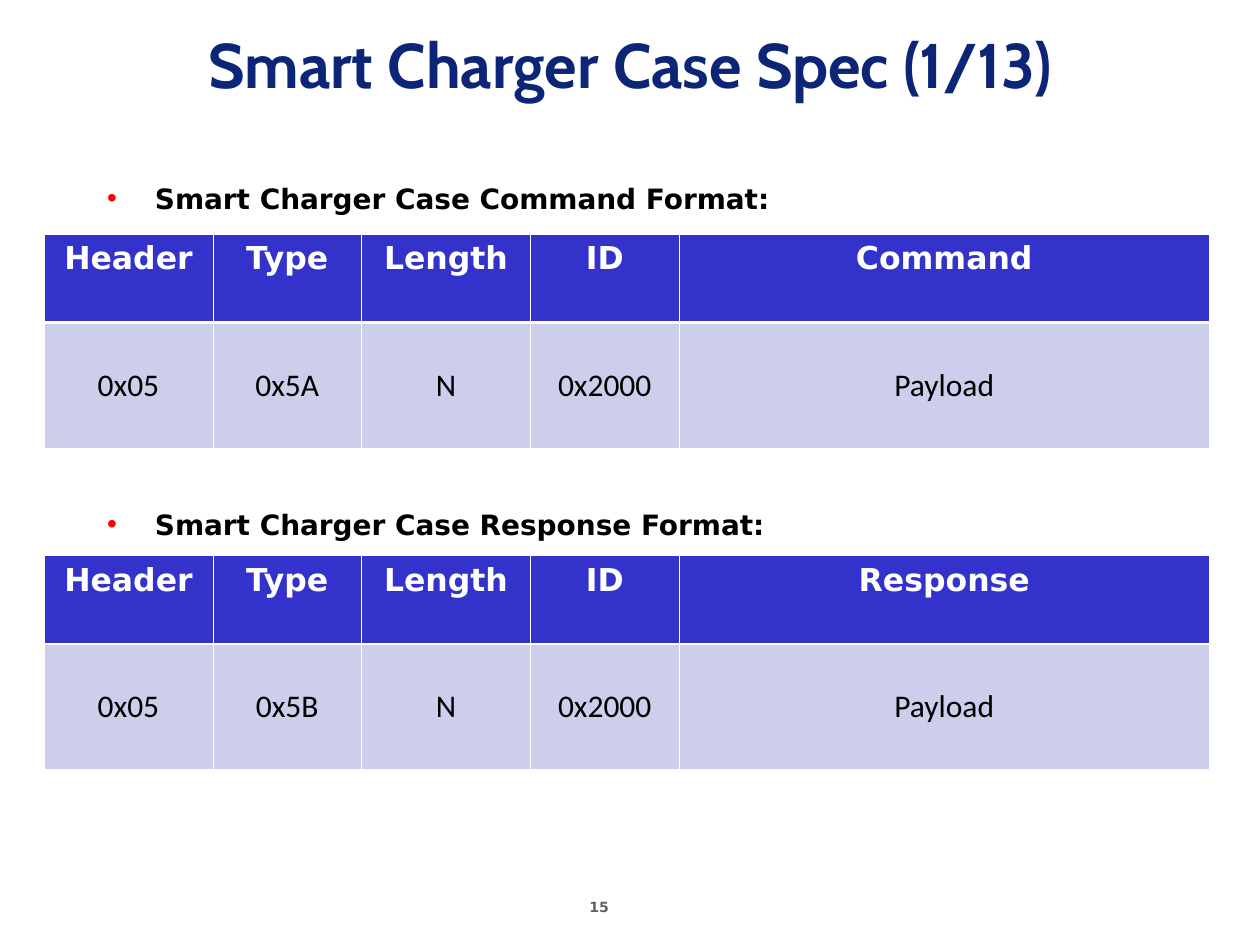
from dataclasses import dataclass

from pptx import Presentation
from pptx.dml.color import RGBColor
from pptx.enum.text import MSO_ANCHOR as Anchor, MSO_AUTO_SIZE as AutoSize, PP_ALIGN as Align
from pptx.oxml import parse_xml
from pptx.oxml.ns import nsdecls
from pptx.util import Inches, Pt


@dataclass(frozen=True)
class Theme:
    """Colours and text styles of the deck."""

    title = {"name": "Cabin", "size": Pt(36), "bold": True, "color": "0C2577"}
    bullet = {"name": "DejaVu Sans", "size": Pt(16), "bold": True, "color": "000000"}
    header = {"name": "DejaVu Sans", "size": Pt(18), "bold": True, "color": "FFFFFF"}
    value = {"name": "Calibri", "size": Pt(18), "bold": False, "color": "000000"}
    page = {"name": "DejaVu Sans", "size": Pt(8), "bold": True, "color": "5F5F5F"}
    bullet_mark = "FF0000"
    header_fill = "3333CC"
    value_fill = "CDCDEC"
    border = "FFFFFF"
    thin, thick = Pt(0.45), Pt(1.47)


def set_values(target, values):
    """Set each attribute named in values on the target."""
    for name, value in values.items():
        setattr(target, name, value)


def place(shape, left, top, width, height):
    """Move and size a shape, in inches."""
    lengths = zip(("left", "top", "width", "height"), (left, top, width, height))
    set_values(shape, {name: Inches(length) for name, length in lengths})


class SlideBuilder:
    """Holds the theme and the current slide."""

    def __init__(self, presentation, theme):
        """Add a title and content slide."""
        self.theme = theme
        self.slide = presentation.slides.add_slide(presentation.slide_layouts[1])

    def styled_text(self, paragraph, text, style, **layout):
        """Put one styled run into a paragraph."""
        set_values(paragraph, layout)
        run = paragraph.add_run()
        run.text = text
        set_values(run.font, {name: style[name] for name in ("name", "size", "bold")})
        run.font.color.rgb = RGBColor.from_string(style["color"])

    def title(self, text, box):
        """Fill the title placeholder."""
        shape = self.slide.shapes.title
        place(shape, *box)
        frame = shape.text_frame
        set_values(frame, {"auto_size": AutoSize.NONE, "vertical_anchor": Anchor.MIDDLE})
        self.styled_text(frame.paragraphs[0], text, self.theme.title, alignment=Align.CENTER)

    def bullets(self, texts, box, gap):
        """Fill the body placeholder with bullets set a gap apart."""
        shape = self.slide.placeholders[1]
        place(shape, *box)
        frame = shape.text_frame
        set_values(frame, {"auto_size": AutoSize.NONE, "vertical_anchor": Anchor.TOP})
        for index, text in enumerate(texts):
            paragraph = frame.add_paragraph() if index else frame.paragraphs[0]
            properties = paragraph._p.get_or_add_pPr()
            properties.set("marL", str(Inches(0.38)))
            properties.set("indent", str(-Inches(0.38)))
            for content in (
                f'<a:buClr {nsdecls("a")}><a:srgbClr val="{self.theme.bullet_mark}"/></a:buClr>',
                f'<a:buFont {nsdecls("a")} typeface="Arial"/>',
                f'<a:buChar {nsdecls("a")} char="•"/>',
            ):
                properties.append(parse_xml(content))
            self.styled_text(paragraph, text, self.theme.bullet, alignment=Align.LEFT,
                             space_before=gap if index else Pt(0))

    def borders(self, cell, widths):
        """Draw the left, right, top and bottom borders of a cell."""
        properties = cell._tc.get_or_add_tcPr()
        for index, (side, width) in enumerate(zip("LRTB", widths)):
            properties.insert(index, parse_xml(
                f'<a:ln{side} {nsdecls("a")} w="{width}"><a:solidFill>'
                f'<a:srgbClr val="{self.theme.border}"/></a:solidFill></a:ln{side}>'))

    def table(self, rows, left, top, column_widths, row_heights):
        """Add a table with a header row and a value row."""
        theme = self.theme
        table = self.slide.shapes.add_table(
            len(rows), len(column_widths), Inches(left), Inches(top),
            Inches(sum(column_widths)), Inches(sum(row_heights))).table
        table.horz_banding = False
        for column, width in zip(table.columns, column_widths):
            column.width = Inches(width)
        thin, thick = theme.thin, theme.thick
        looks = (
            (theme.header, theme.header_fill, (thin, thin, thin, thick),
             {"vertical_anchor": Anchor.TOP}),
            (theme.value, theme.value_fill, (thin, thin, thick, thin),
             {"vertical_anchor": Anchor.MIDDLE,
              "margin_left": Inches(0.01), "margin_right": Inches(0.01)}),
        )
        for row, height, texts, look in zip(table.rows, row_heights, rows, looks):
            row.height = Inches(height)
            style, fill, widths, layout = look
            for cell, text in zip(row.cells, texts):
                set_values(cell, layout)
                cell.fill.solid()
                cell.fill.fore_color.rgb = RGBColor.from_string(fill)
                self.borders(cell, widths)
                self.styled_text(cell.text_frame.paragraphs[0], text, style,
                                 alignment=Align.CENTER)

    def page_number(self, text, box):
        """Add the page number."""
        frame = self.slide.shapes.add_textbox(*map(Inches, box)).text_frame
        frame.word_wrap = True
        self.styled_text(frame.paragraphs[0], text, self.theme.page, alignment=Align.LEFT)


def main():
    """Build the command and response format slide."""
    presentation = Presentation()
    set_values(presentation, {"slide_width": Inches(10), "slide_height": Inches(7.5)})
    builder = SlideBuilder(presentation, Theme())
    builder.title("Smart Charger Case Spec (1/13)", (0, 0, 10, 1))
    builder.bullets(
        [f"Smart Charger Case {kind} Format:" for kind in ("Command", "Response")],
        (0.75, 1.39, 9.25, 5.17), Pt(167))
    for kind, type_code, top in (("Command", "0x5A", 1.86), ("Response", "0x5B", 4.41)):
        builder.table(
            [("Header", "Type", "Length", "ID", kind),
             ("0x05", type_code, "N", "0x2000", "Payload")],
            0.35, top, (1.34, 1.18, 1.34, 1.18, 4.21), (0.7, 1))
    builder.page_number("15", (4.58, 7.08, 0.77, 0.26))
    presentation.save("out.pptx")


if __name__ == "__main__":
    main()
